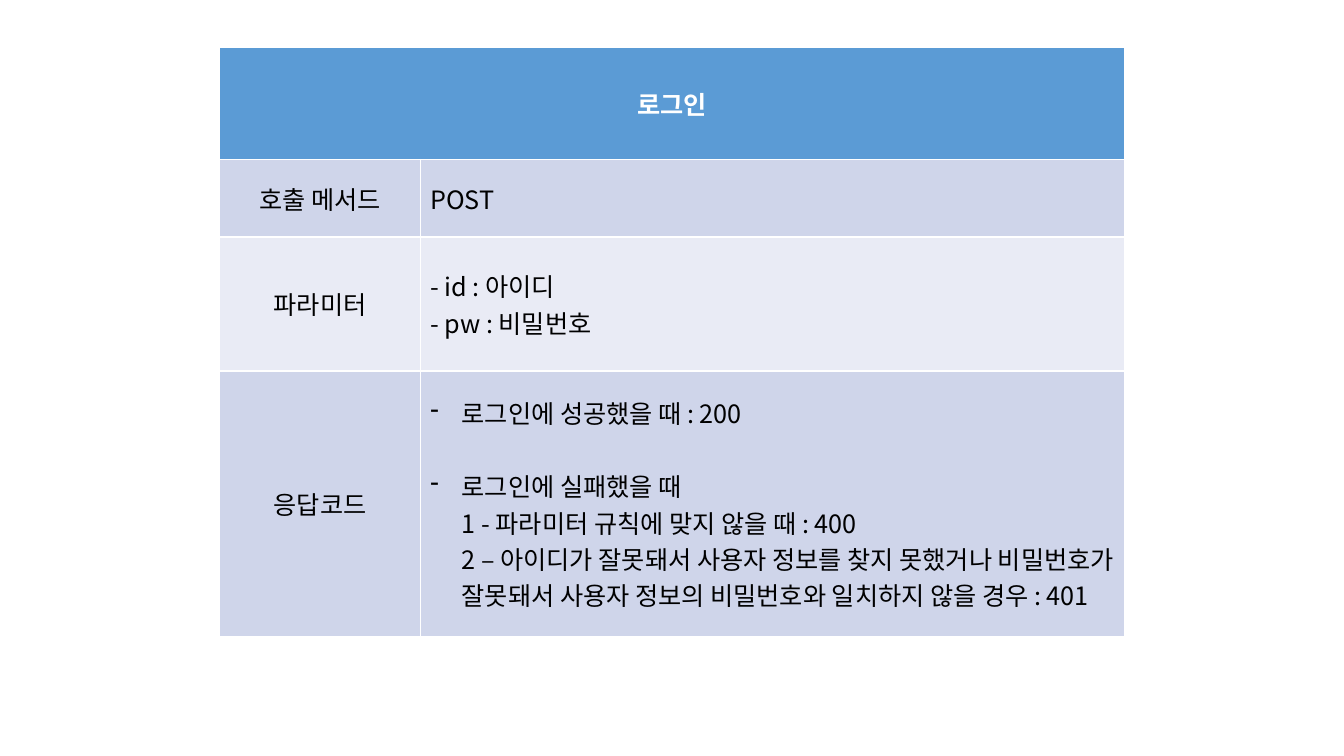
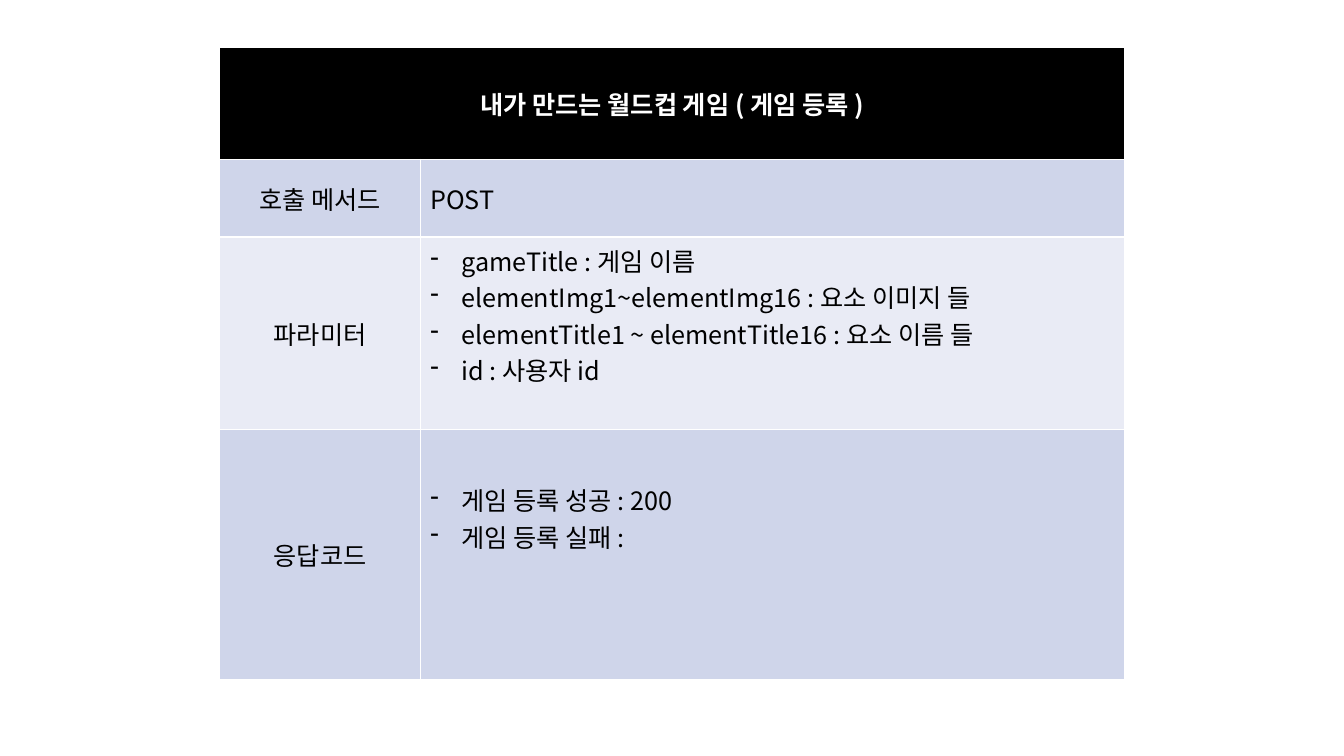
"""Builds two API reference slides, each holding one table for a call."""
from lxml import etree
from pptx import Presentation
from pptx.dml.color import RGBColor
from pptx.enum.text import MSO_ANCHOR, PP_ALIGN
from pptx.oxml.ns import qn
from pptx.util import Cm, Pt

LEFT, CENTER = PP_ALIGN.LEFT, PP_ALIGN.CENTER
MIDDLE = MSO_ANCHOR.MIDDLE
FONT = "Noto Sans CJK KR"
BLUE, BLACK, WHITE = "5B9BD5", "000000", "FFFFFF"
BANDS = ["CFD5EA", "E9EBF5"]
COLUMN_WIDTHS = [5.05, 17.75]
HEADER_HEIGHT = 2.82
CELL_MARGIN = 0.13
LINE_HEIGHT = 0.92
HANGING_INDENT = 0.79


def colour(hex_string):
    return RGBColor.from_string(hex_string)


def write(cell, lines, fill, color=BLACK, bold=False, align=LEFT, bulleted=False, gap=0, lift=0):
    cell.fill.solid()
    cell.fill.fore_color.rgb = colour(fill)
    cell.vertical_anchor = MIDDLE
    cell.margin_bottom = Cm(CELL_MARGIN + lift * LINE_HEIGHT)
    frame = cell.text_frame
    for index, line in enumerate(lines):
        para = frame.add_paragraph() if index else frame.paragraphs[0]
        para.text = line
        para.alignment = align
        if bulleted:
            properties = para._p.get_or_add_pPr()
            properties.set("marL", str(Cm(HANGING_INDENT)))
            properties.set("indent", str(-Cm(HANGING_INDENT)))
            etree.SubElement(properties, qn("a:buChar")).set("char", "-")
        if index and gap:
            para.space_before = Cm(gap * LINE_HEIGHT)
        for span in para.runs:
            span.font.size = Pt(18)
            span.font.name = FONT
            span.font.bold = bold
            span.font.color.rgb = colour(color)
            etree.SubElement(span.font._element, qn("a:ea")).set("typeface", FONT)


method_row = ("호출 메서드", 1.95, ["POST"], {})
calls = [
    ("로그인", BLUE, [
        method_row,
        ("파라미터", 3.38, ["- id : 아이디", "- pw : 비밀번호"], {}),
        ("응답코드", 6.68, [
            "로그인에 성공했을 때 : 200",
            "로그인에 실패했을 때\v1 - 파라미터 규칙에 맞지 않을 때 : 400\v"
            "2 – 아이디가 잘못돼서 사용자 정보를 찾지 못했거나 "
            "비밀번호가 잘못돼서 사용자 정보의 비밀번호와 일치하지 않을 경우 : 401",
        ], {"bulleted": True, "gap": 1}),
    ]),
    ("내가 만드는 월드컵 게임 ( 게임 등록 )", BLACK, [
        method_row,
        ("파라미터", 4.85, [
            "gameTitle : 게임 이름",
            "elementImg1~elementImg16 : 요소 이미지 들",
            "elementTitle1 ~ elementTitle16 : 요소 이름 들",
            "id : 사용자 id",
        ], {"bulleted": True, "lift": 1}),
        ("응답코드", 6.31, ["게임 등록 성공 : 200", "게임 등록 실패 :"],
         {"bulleted": True, "lift": 2}),
    ]),
]

deck = Presentation()
deck.slide_width, deck.slide_height = Cm(33.87), Cm(19.05)

for title, header_fill, rows in calls:
    page = deck.slides.add_slide(deck.slide_layouts[6])
    heights = [HEADER_HEIGHT] + [height for _, height, _, _ in rows]
    table = page.shapes.add_table(
        len(heights), len(COLUMN_WIDTHS), Cm(5.54), Cm(1.2),
        Cm(sum(COLUMN_WIDTHS)), Cm(sum(heights))).table
    for column, width in zip(table.columns, COLUMN_WIDTHS):
        column.width = Cm(width)
    for row, height in zip(table.rows, heights):
        row.height = Cm(height)

    header = table.cell(0, 0)
    header.merge(table.cell(0, 1))
    write(header, [title], header_fill, color=WHITE, bold=True, align=CENTER)
    for number, (label, _, lines, style) in enumerate(rows, start=1):
        band = BANDS[(number - 1) % 2]
        write(table.cell(number, 0), [label], band, align=CENTER)
        write(table.cell(number, 1), lines, band, **style)

deck.save("out.pptx")
